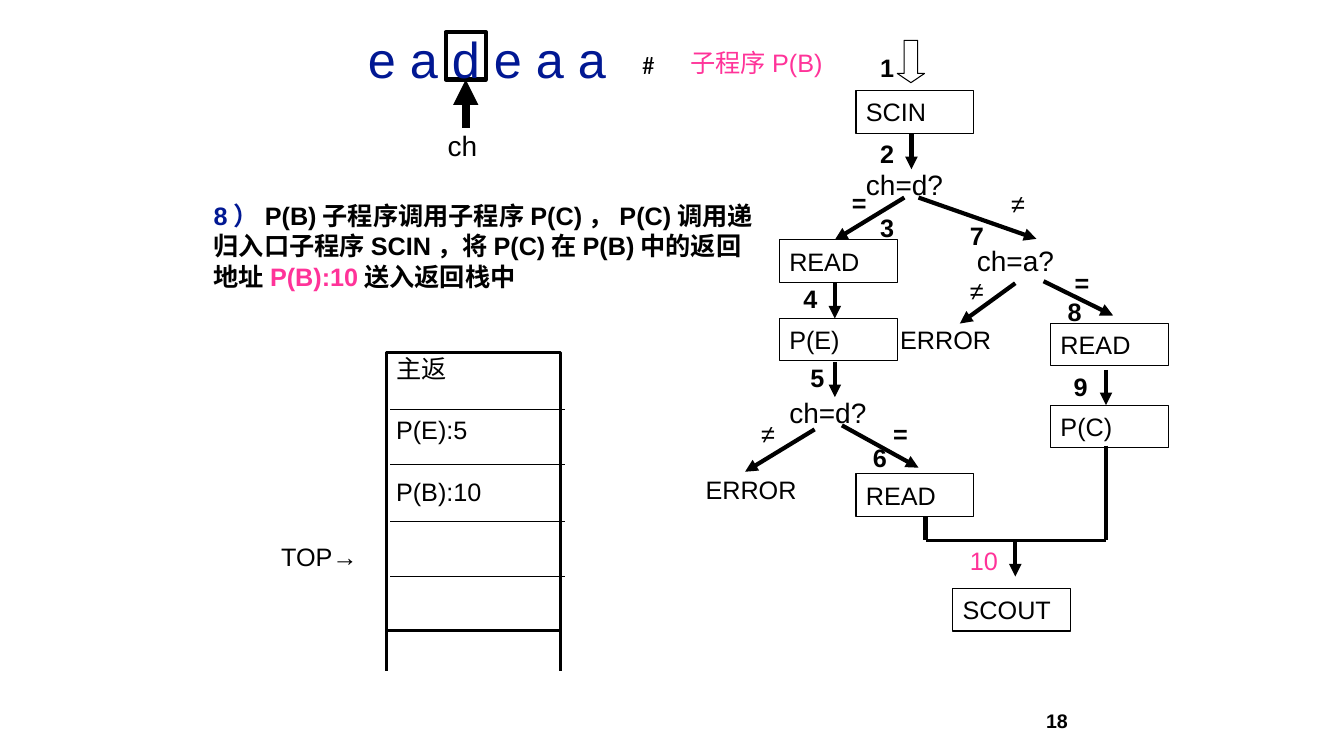
from dataclasses import dataclass
from typing import Any

from lxml.etree import SubElement
from pptx import Presentation
from pptx.dml.color import RGBColor
from pptx.enum.shapes import MSO_CONNECTOR, MSO_SHAPE
from pptx.enum.text import MSO_ANCHOR, PP_ALIGN
from pptx.oxml.ns import qn
from pptx.util import Pt

PX = 9144
BLACK = RGBColor(0x00, 0x00, 0x00)
NAVY = RGBColor(0x01, 0x18, 0x93)
PINK = RGBColor(0xFF, 0x33, 0x99)


@dataclass
class Region:
    """A part of the slide whose contents are placed from its left top corner."""
    shapes: Any
    left: int
    top: int

    def place(self, box):
        """Turn a box in px within the region into EMU on the slide."""
        left, top, width, height = box
        return [(self.left + left) * PX, (self.top + top) * PX, width * PX, height * PX]

    def text(self, box, spans, size=18, bold=False, font="Arial", middle=False):
        """Add a text box with one paragraph of (words, colour) spans."""
        frame = self.shapes.add_textbox(*self.place(box)).text_frame
        frame.word_wrap = True
        frame.vertical_anchor = MSO_ANCHOR.MIDDLE if middle else MSO_ANCHOR.TOP
        para = frame.paragraphs[0]
        write(para, spans, size, bold, font)
        return para

    def outline(self, box, weight, kind=MSO_SHAPE.RECTANGLE):
        """Add an unfilled shape with a black outline."""
        shape = self.shapes.add_shape(kind, *self.place(box))
        shape.shadow.inherit = False
        shape.fill.background()
        shape.line.color.rgb = BLACK
        shape.line.width = Pt(weight)
        return shape

    def line(self, ends, weight, arrow=False):
        """Add a straight black line, with an arrowhead at its end if asked."""
        x1, y1, x2, y2 = ends
        start, end = self.place((x1, y1, 0, 0))[:2], self.place((x2, y2, 0, 0))[:2]
        link = self.shapes.add_connector(MSO_CONNECTOR.STRAIGHT, *start, *end)
        link.line.color.rgb = BLACK
        link.line.width = Pt(weight)
        if arrow:
            SubElement(link.line._get_or_add_ln(), qn("a:tailEnd"), type="triangle")
        SubElement(link._element.spPr, qn("a:effectLst"))
        return link


def write(para, spans, size=18, bold=False, font="Arial"):
    """Add the (words, colour) spans to a paragraph as runs."""
    for words, colour in spans:
        span = para.add_run()
        span.text = words
        span.font.name = font
        span.font.size = Pt(size)
        span.font.bold = bold
        span.font.color.rgb = colour


def add_input_string(region):
    """Draw the input string with the current character marked."""
    marker = region.outline((87, 9, 40, 47), 3)
    pointer = region.line((107, 104, 107, 56), 6, arrow=True)
    pointer.end_connect(marker, 2)
    region.text((79, 100, 55, 43), [("ch", BLACK)], size=20)
    region.text((0, 0, 431, 70), [("e a d e a a", NAVY)], size=36)
    region.text((272, 21, 34, 40), [("#", BLACK)], font="Calibri")
    region.text((320, 19, 200, 40), [("子程序P(B)", PINK)])


def add_step(region):
    """Write the explanation of the current step."""
    region.text((0, 0, 561, 100), [
        ("8）", NAVY),
        ("P(B)子程序调用子程序P(C)，P(C)调用递归入口子程序SCIN，将P(C)在P(B)中的返回地址", BLACK),
        ("P(B):10", PINK),
        ("送入返回栈中", BLACK),
    ], bold=True)


def add_return_stack(region):
    """Draw the return stack with its entries and top pointer."""
    left, width, height = 114, 173, 276
    frame = region.outline((left, 0, width, height), 2.25).text_frame
    frame.vertical_anchor = MSO_ANCHOR.TOP
    frame.margin_top = frame.margin_bottom = PX
    for index, entry in enumerate(["主返", "P(E):5", "P(B):10"]):
        para = frame.add_paragraph() if index else frame.paragraphs[0]
        para.alignment = PP_ALIGN.LEFT
        if index:
            para.space_before = Pt(22)
        write(para, [(entry, BLACK)])
    for side in (left, left + width):
        region.line((side, 238, side, 316), 2.25)
    for row in range(4):
        y = 56 + round(row * 55.4)
        region.line((left + 4, y, left + 4 + width, y), 0.75)
    region.text((0, 182, 118, 40), [("TOP→", BLACK)])


def add_flowchart(region):
    """Draw the flowchart of subroutine P(B)."""
    entry = region.outline((200, 0, 27, 42), 0.75, MSO_SHAPE.DOWN_ARROW)
    entry.adjustments[0], entry.adjustments[1] = 0.5, 0.337
    for name, left, top in [
        ("SCIN", 159, 50), ("READ", 83, 198), ("P(E)", 83, 276), ("READ", 159, 430),
        ("READ", 352, 281), ("P(C)", 352, 362), ("SCOUT", 255, 544),
    ]:
        frame = region.outline((left, top, 117, 42), 0.75).text_frame
        frame.vertical_anchor = MSO_ANCHOR.MIDDLE
        frame.paragraphs[0].alignment = PP_ALIGN.LEFT
        write(frame.paragraphs[0], [(name, BLACK)])
    for ends in [
        (214, 93, 214, 128), (207, 156, 138, 198), (221, 156, 338, 197),
        (138, 241, 138, 276), (138, 319, 138, 354), (118, 386, 49, 428),
        (145, 382, 221, 424), (317, 241, 262, 281), (345, 239, 414, 273),
        (407, 327, 407, 362), (317, 496, 317, 532),
    ]:
        region.line(ends, 3, arrow=True)
    for ends, weight in [
        ((228, 473, 228, 496), 3), ((407, 402, 407, 496), 3), ((228, 496, 407, 496), 2.25),
    ]:
        region.line(ends, weight)
    for test, left, top in [("ch=d?", 159, 121), ("ch=d?", 83, 347), ("ch=a?", 269, 197)]:
        region.text((left, top, 117, 43), [(test, BLACK)], size=20)
    for left, top in [(0, 425), (193, 276)]:
        region.text((left, top, 117, 42), [("ERROR", BLACK)], middle=True)
    for label, left, top in [
        ("1", 173, 7), ("2", 173, 92), ("3", 173, 166), ("4", 97, 236), ("5", 104, 315),
        ("6", 166, 394), ("7", 262, 174), ("8", 359, 249), ("9", 365, 323),
        ("=", 145, 141), ("=", 186, 370), ("=", 366, 220),
        ("≠", 303, 142), ("≠", 55, 370), ("≠", 262, 228),
    ]:
        region.text((left, top, 28, 40), [(label, BLACK)], bold=label != "≠")
    region.text((262, 496, 50, 40), [("10", PINK)])


def add_page_number(region):
    """Write the page number."""
    para = region.text((0, 0, 131, 40), [("18", BLACK)], size=14, bold=True, middle=True)
    para.alignment = PP_ALIGN.RIGHT


def main():
    """Build the deck and save it."""
    deck = Presentation()
    deck.slide_width, deck.slide_height = 1333 * PX, 750 * PX
    page = deck.slides.add_slide(deck.slide_layouts[6])
    for draw, left, top in [
        (add_page_number, 938, 695),
        (add_input_string, 355, 23),
        (add_step, 202, 194),
        (add_return_stack, 269, 350),
        (add_flowchart, 690, 40),
    ]:
        draw(Region(page.shapes, left, top))
    deck.save("out.pptx")


if __name__ == "__main__":
    main()
